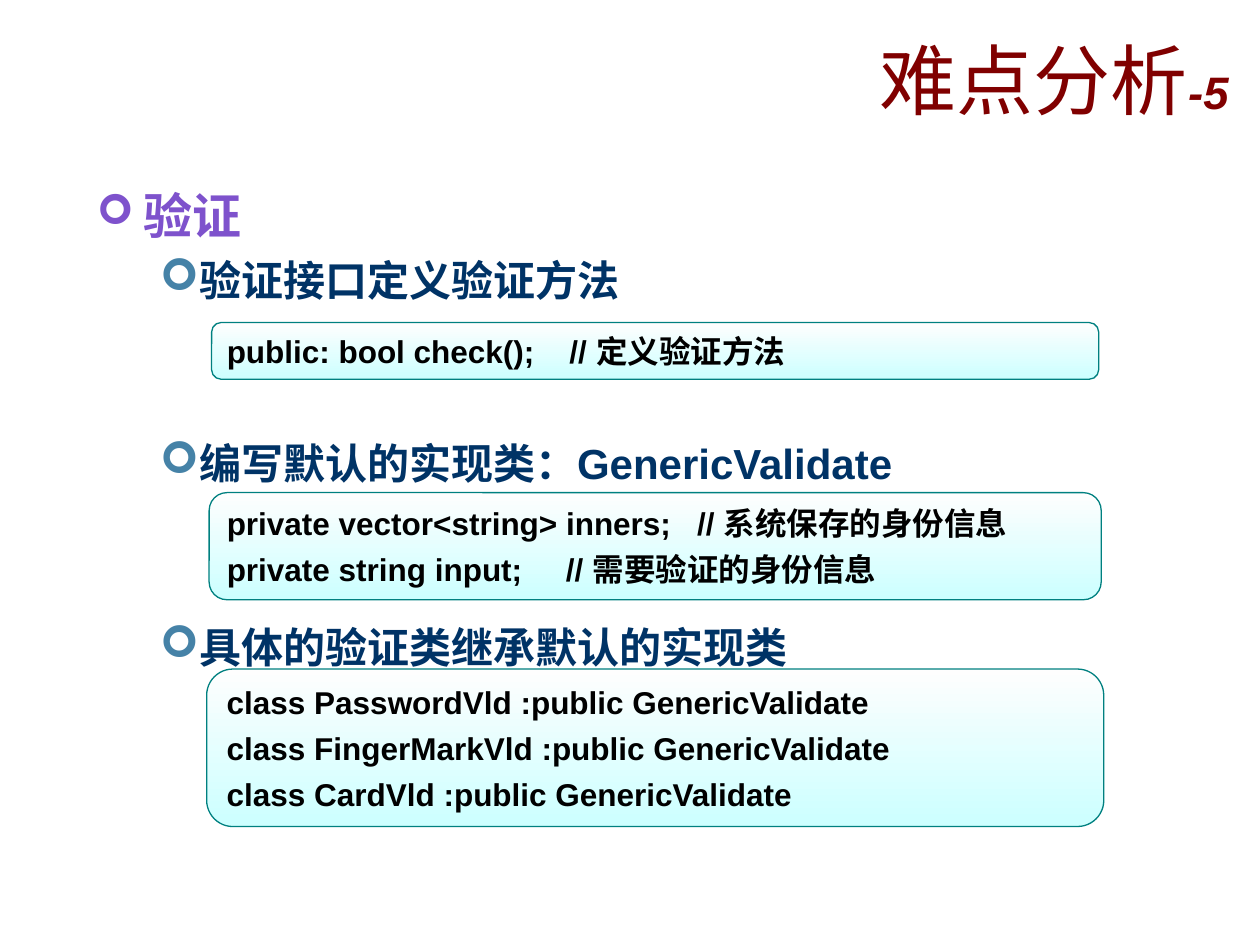
from lxml import etree
from pptx import Presentation
from pptx.dml.color import RGBColor
from pptx.enum.shapes import MSO_SHAPE as Shape
from pptx.enum.text import MSO_ANCHOR as Anchor, PP_ALIGN as Align
from pptx.oxml.ns import qn
from pptx.util import Inches, Pt

COLORS = {
    "title": "800000", "topic": "7E52CC", "point": "003366",
    "point_bullet": "4582A7", "code": "000000", "code_line": "008080",
    "code_top": "FEFEFE", "code_bottom": "CCFFFF",
}


class SlideBuilder:
    font_name = "Arial"

    def __init__(self, slide):
        self.slide = slide

    def color(self, name):
        return RGBColor.from_string(COLORS[name])

    def style(self, run, size, color, bold=True, italic=False):
        font = run.font
        font.name, font.size = self.font_name, Pt(size)
        font.bold, font.italic = bold, italic
        font.color.rgb = self.color(color)

    def text_frame(self, left, top, width, height):
        box = self.slide.shapes.add_textbox(
            Inches(left), Inches(top), Inches(width), Inches(height))
        box.text_frame.word_wrap = True
        return box.text_frame

    def title(self, text, number):
        frame = self.text_frame(1.15, 0.07, 8.7, 1.11)
        frame.vertical_anchor = Anchor.MIDDLE
        heading = frame.paragraphs[0]
        heading.alignment = Align.RIGHT
        for part, size, strong in ((text, 44, False), (number, 26, True)):
            run = heading.add_run()
            run.text = part
            self.style(run, size, "title", bold=strong, italic=strong)

    def bullet(self, paragraph, color, percent, margin, hanging):
        props = paragraph._p.get_or_add_pPr()
        props.set("marL", str(Inches(margin)))
        props.set("indent", str(-Inches(hanging)))
        bullet_color = etree.SubElement(props, qn("a:buClr"))
        etree.SubElement(bullet_color, qn("a:srgbClr"), val=COLORS[color])
        etree.SubElement(props, qn("a:buSzPct"), val=str(percent * 1000))
        etree.SubElement(props, qn("a:buFont"), typeface="Wingdings")
        etree.SubElement(props, qn("a:buChar"), char="➢")

    def outline(self, topic, points):
        frame = self.text_frame(0.67, 1.32, 8.66, 5.19)
        frame.margin_top = Inches(0.15)
        frame.text = "\n".join([topic] + [text for text, _ in points])
        first, *rest = frame.paragraphs
        self.bullet(first, "topic", 85, 0.37, 0.37)
        self.style(first.runs[0], 28, "topic")
        for paragraph, (_, gap) in zip(rest, points):
            paragraph.level = 1
            paragraph.space_before = Pt(gap)
            self.bullet(paragraph, "point_bullet", 105, 0.81, 0.31)
            self.style(paragraph.runs[0], 24, "point")

    def code_box(self, left, top, width, height, lines):
        box = self.slide.shapes.add_shape(
            Shape.ROUNDED_RECTANGLE,
            Inches(left), Inches(top), Inches(width), Inches(height))
        box.shadow.inherit = False
        box.line.color.rgb = self.color("code_line")
        box.line.width = Pt(0.75)
        box.fill.gradient()
        box.fill.gradient_angle = 270
        for stop, name in zip(box.fill.gradient_stops, ("code_top", "code_bottom")):
            stop.color.rgb = self.color(name)
        frame = box.text_frame
        frame.word_wrap = True
        frame.vertical_anchor = Anchor.MIDDLE
        frame.text = "\n".join(lines)
        for index, paragraph in enumerate(frame.paragraphs):
            paragraph.alignment = Align.LEFT
            if index:
                paragraph.space_before = Pt(4.5)
            self.style(paragraph.runs[0], 18, "code")


def main():
    deck = Presentation()
    deck.slide_width, deck.slide_height = Inches(10), Inches(7.5)
    builder = SlideBuilder(deck.slides.add_slide(deck.slide_layouts[6]))

    builder.title("难点分析", "-5")

    # Outline, with room left for the code below each point
    code_gap = 76
    builder.outline("验证", [
        ("验证接口定义验证方法", 6),
        ("编写默认的实现类：GenericValidate", code_gap),
        ("具体的验证类继承默认的实现类", code_gap),
    ])

    # Code samples
    builder.code_box(1.68, 2.56, 7.04, 0.45, [
        "public: bool check();    // 定义验证方法",
    ])
    builder.code_box(1.66, 3.91, 7.08, 0.85, [
        "private vector<string> inners;   // 系统保存的身份信息",
        "private string input;     // 需要验证的身份信息",
    ])
    builder.code_box(1.64, 5.31, 7.12, 1.25, [
        "class PasswordVld :public GenericValidate",
        "class FingerMarkVld :public GenericValidate",
        "class CardVld :public GenericValidate",
    ])

    deck.save("out.pptx")


if __name__ == "__main__":
    main()
